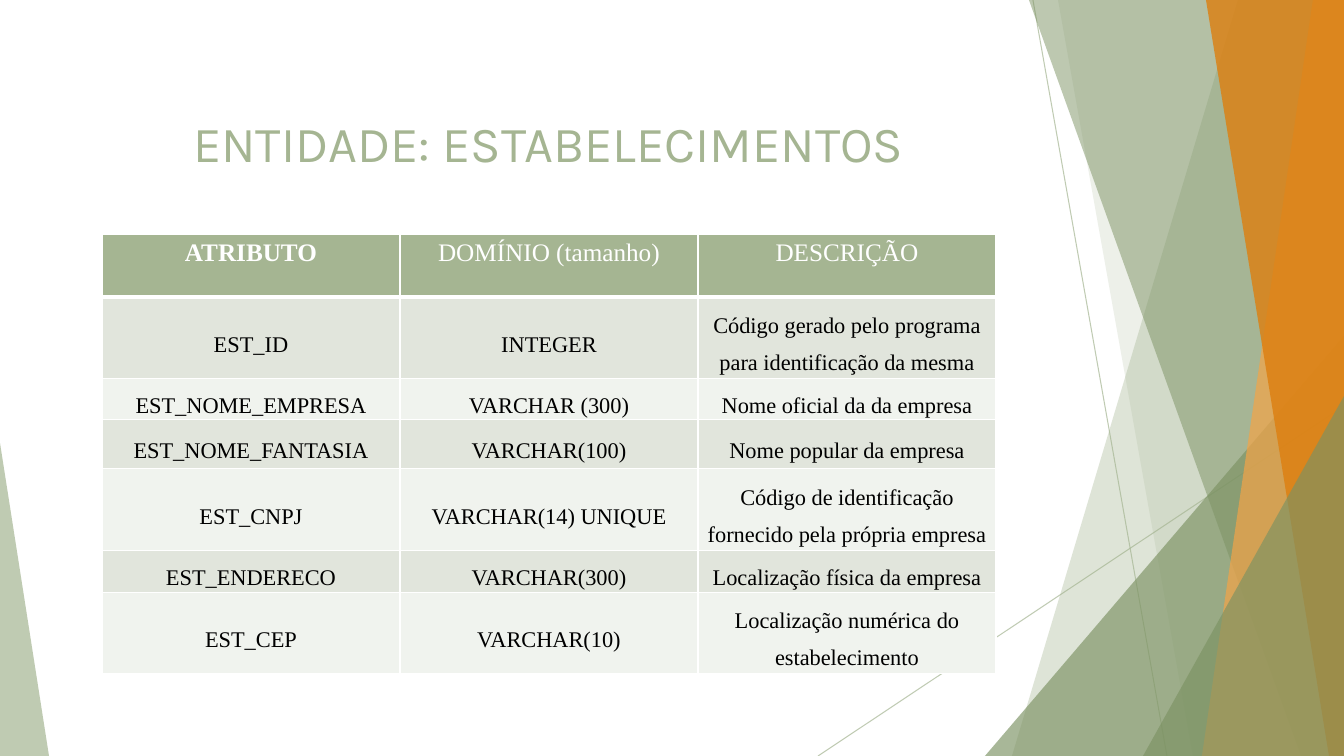
from lxml import etree
from pptx import Presentation
from pptx.dml.color import RGBColor
from pptx.enum.shapes import MSO_CONNECTOR, MSO_SHAPE
from pptx.enum.text import MSO_ANCHOR, PP_ALIGN
from pptx.oxml.ns import qn
from pptx.util import Pt

STRAIGHT = MSO_CONNECTOR.STRAIGHT
TRIANGLE = MSO_SHAPE.ISOSCELES_TRIANGLE
CENTER = PP_ALIGN.CENTER
TOP, MIDDLE = MSO_ANCHOR.TOP, MSO_ANCHOR.MIDDLE

WIDTH, HEIGHT = 1344, 756
EMU_PER_PX = 12192000 / WIDTH

SAGE = RGBColor(0xA5, 0xB5, 0x92)
MOSS = RGBColor(0x7C, 0x92, 0x63)
APRICOT = RGBColor(0xF3, 0xA4, 0x47)
ORANGE = RGBColor(0xDD, 0x7E, 0x0E)
ROW_DARK = RGBColor(0xE1, 0xE5, 0xDC)
ROW_LIGHT = RGBColor(0xF0, 0xF3, 0xEE)
WHITE = RGBColor(0xFF, 0xFF, 0xFF)
BLACK = RGBColor(0x00, 0x00, 0x00)

HEADINGS = ["ATRIBUTO", "DOMÍNIO (tamanho)", "DESCRIÇÃO"]
ATTRIBUTES = [
    ("EST_ID", "INTEGER",
     "Código gerado pelo programa para identificação da mesma"),
    ("EST_NOME_EMPRESA", "VARCHAR (300)", "Nome oficial da da empresa"),
    ("EST_NOME_FANTASIA", "VARCHAR(100)", "Nome popular da empresa"),
    ("EST_CNPJ", "VARCHAR(14) UNIQUE",
     "Código de identificação fornecido pela própria empresa"),
    ("EST_ENDERECO", "VARCHAR(300)", "Localização física da empresa"),
    ("EST_CEP", "VARCHAR(10)", "Localização numérica do estabelecimento"),
]
ROW_HEIGHTS = [63, 81, 41, 49, 82, 41, 81]
COLUMN_WIDTH = 298


def px(length):
    return round(length * EMU_PER_PX)


def set_opacity(shape, percent):
    color = shape.element.spPr.find(".//" + qn("a:srgbClr"))
    etree.SubElement(color, qn("a:alpha"), val=str(percent * 1000))


def paint(shape, color, opacity):
    shape.shadow.inherit = False
    shape.fill.solid()
    shape.fill.fore_color.rgb = color
    shape.line.fill.background()
    set_opacity(shape, opacity)


def add_band(slide, top_x, bottom_x, color, opacity):
    """Fill the area between a slanted edge and the right slide edge."""
    outline = slide.shapes.build_freeform(top_x, 0, scale=EMU_PER_PX)
    outline.add_line_segments(
        [(WIDTH, 0), (WIDTH, HEIGHT), (bottom_x, HEIGHT)], close=True)
    paint(outline.convert_to_shape(), color, opacity)


def add_corner(slide, left, top, width, apex, color, opacity):
    """Add a right triangle that stands on the bottom slide edge."""
    corner = slide.shapes.add_shape(
        TRIANGLE, px(left), px(top), px(width), px(HEIGHT - top))
    corner.adjustments[0] = apex
    paint(corner, color, opacity)


def add_hairline(slide, start, end):
    hairline = slide.shapes.add_connector(
        STRAIGHT, *(px(value) for value in start + end))
    hairline.line.color.rgb = SAGE
    hairline.line.width = Pt(0.75)
    set_opacity(hairline, 70)
    etree.SubElement(hairline.element.spPr, qn("a:effectLst"))


def write(frame, text, font, size, color, bold=False, spacing=None):
    frame.word_wrap = True
    paragraph = frame.paragraphs[0]
    paragraph.alignment = CENTER
    if spacing:
        paragraph.line_spacing = spacing
    run = paragraph.add_run()
    run.text = text
    run.font.name = font
    run.font.size = Pt(size)
    run.font.bold = bold
    run.font.color.rgb = color


def set_borders(cell, bottom_points):
    properties = cell._tc.get_or_add_tcPr()
    for side, points in zip("LRTB", (1, 1, 1, bottom_points)):
        border = etree.SubElement(
            properties, qn("a:ln" + side), w=str(Pt(points)))
        fill = etree.SubElement(border, qn("a:solidFill"))
        etree.SubElement(fill, qn("a:srgbClr"), val=str(WHITE))


def fill_cell(cell, color, bottom_points=1):
    set_borders(cell, bottom_points)
    cell.fill.solid()
    cell.fill.fore_color.rgb = color


def add_attribute_table(slide, left, top):
    table = slide.shapes.add_table(
        len(ROW_HEIGHTS), len(HEADINGS), px(left), px(top),
        px(COLUMN_WIDTH * len(HEADINGS)), px(sum(ROW_HEIGHTS))).table
    for column in table.columns:
        column.width = px(COLUMN_WIDTH)
    for row, height in zip(table.rows, ROW_HEIGHTS):
        row.height = px(height)

    # Header row
    for index, heading in enumerate(HEADINGS):
        cell = table.cell(0, index)
        cell.vertical_anchor = TOP
        fill_cell(cell, SAGE, bottom_points=3)
        write(cell.text_frame, heading, "Times New Roman", 18, WHITE,
              bold=index == 0)

    # Attribute rows
    for number, attribute in enumerate(ATTRIBUTES, start=1):
        for index, text in enumerate(attribute):
            cell = table.cell(number, index)
            cell.vertical_anchor = MIDDLE
            cell.margin_left = cell.margin_right = px(6 if index == 2 else 1)
            cell.margin_top, cell.margin_bottom = px(1), 0
            fill_cell(cell, ROW_DARK if number % 2 else ROW_LIGHT)
            write(cell.text_frame, text, "Times New Roman", 16, BLACK,
                  spacing=1.5)


def add_backdrop(slide):
    add_hairline(slide, (1033, 0), (1167, HEIGHT))
    add_hairline(slide, (WIDTH, 406), (818, HEIGHT))
    add_band(slide, 1238, 1012, SAGE, 36)
    add_band(slide, 1058, 1193, SAGE, 20)
    add_corner(slide, 985, 336, 359, 1, MOSS, 66)
    add_band(slide, 1029, 1301, MOSS, 50)
    add_band(slide, 1313, 1202, APRICOT, 70)
    add_band(slide, 1206, 1329, ORANGE, 80)
    add_corner(slide, 1143, 396, 201, 1, MOSS, 66)
    add_corner(slide, 0, 443, 49, 0, SAGE, 70)


def add_title(slide, text):
    title = slide.shapes.add_textbox(px(13), px(106), px(1071), px(72))
    title.text_frame.vertical_anchor = MIDDLE
    write(title.text_frame, text, "Karla", 36, SAGE)


def main():
    deck = Presentation()
    deck.slide_width, deck.slide_height = px(WIDTH), px(HEIGHT)
    slide = deck.slides.add_slide(deck.slide_layouts[6])
    add_backdrop(slide)
    add_title(slide, "ENTIDADE: ESTABELECIMENTOS")
    add_attribute_table(slide, 102, 234)
    deck.save("out.pptx")


if __name__ == "__main__":
    main()
